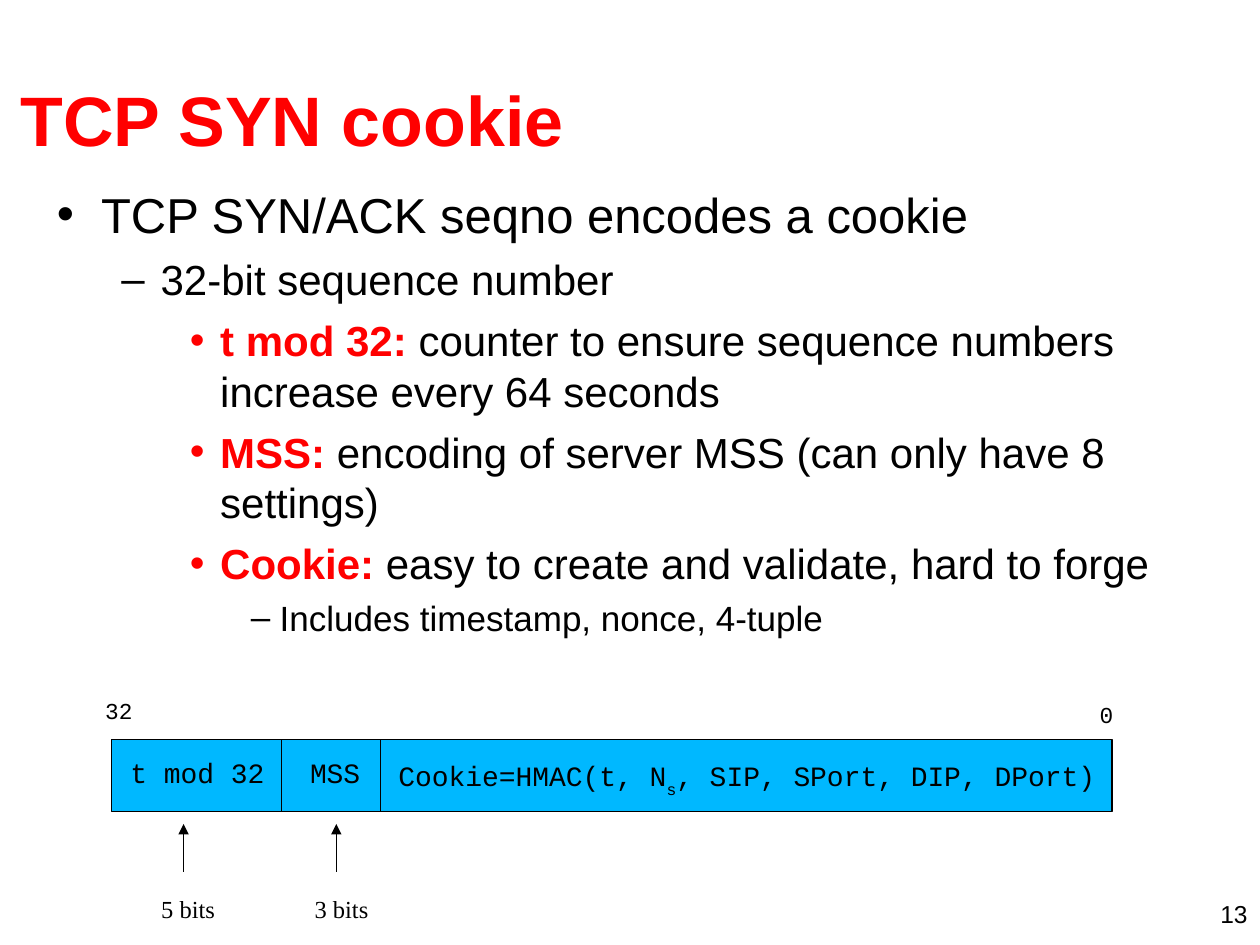
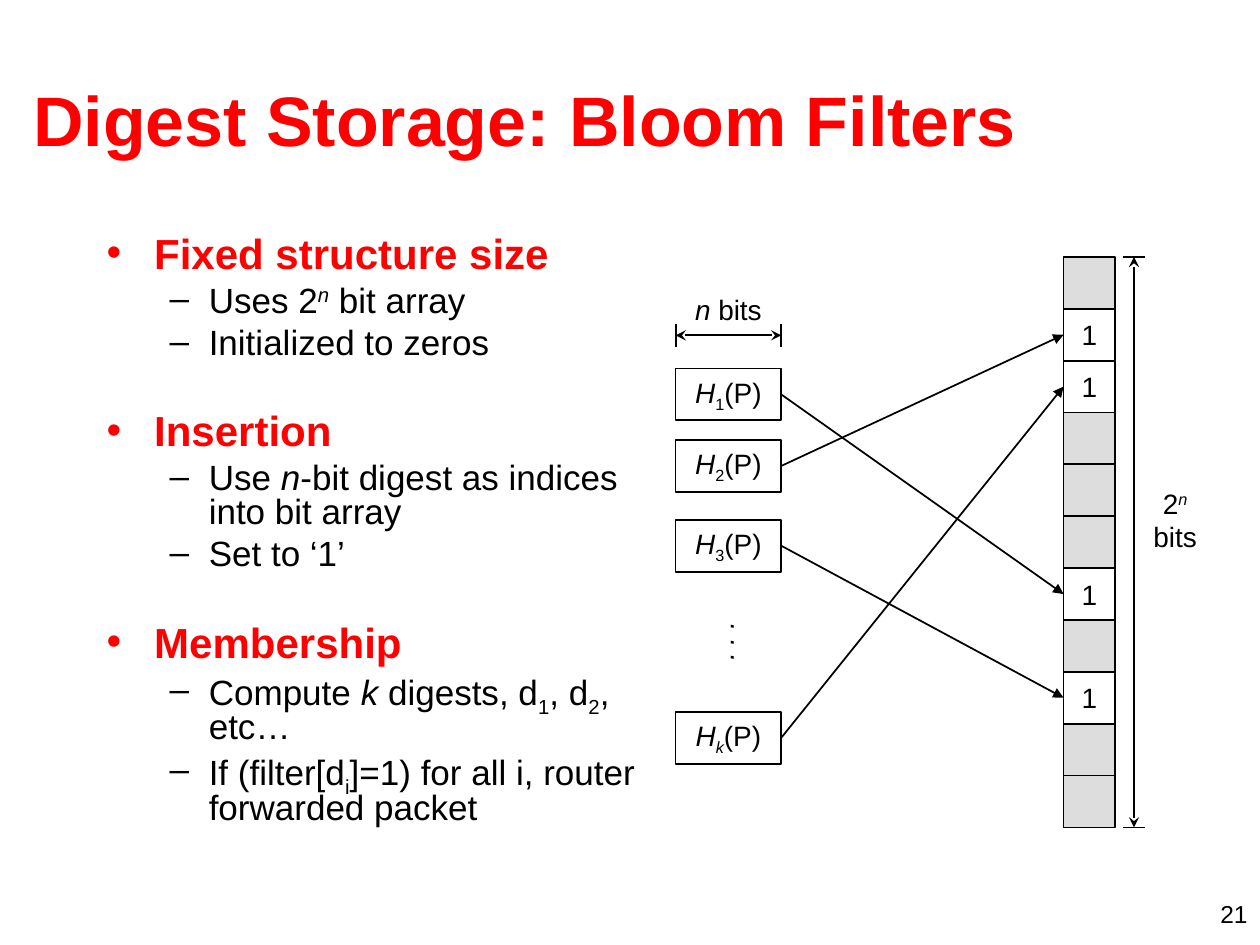
from dataclasses import dataclass
from lxml.etree import SubElement
from pptx import Presentation
from pptx.dml.color import RGBColor as RGB
from pptx.enum.shapes import MSO_CONNECTOR as LINK, MSO_SHAPE as SHAPE
from pptx.enum.text import MSO_ANCHOR as ANCHOR, PP_ALIGN as ALIGN
from pptx.oxml.ns import qn
from pptx.util import Cm, Pt


@dataclass(frozen=True)
class Theme:
    red: str = "FF0000"
    black: str = "000000"
    white: str = "FFFFFF"
    blue: str = "00B8FF"
    grey: str = "DDDDDD"
    sans: str = "Arial"
    mono: str = "Courier New"
    serif: str = "Times New Roman"
    title: int = 40
    label: int = 16
    small: int = 14
    tiny: int = 13


T = Theme()
INSET = (0.25, 0.13)

# Text is a list of (words, marks): r = bold red, i = italic, _ = below, ^ = above
COOKIE = [
    (0, [("TCP SYN/ACK seqno encodes a cookie", "")]),
    (1, [("32-bit sequence number", "")]),
    (2, [("t mod 32:", "r"),
         (" counter to ensure sequence numbers increase every 64 seconds", "")]),
    (2, [("MSS:", "r"),
         (" encoding of server MSS (can only have 8 settings)", "")]),
    (2, [("Cookie:", "r"),
         (" easy to create and validate, hard to forge", "")]),
    (3, [("Includes timestamp, nonce, 4-tuple", "")]),
]
BLOOM = [
    (0, [("Fixed structure size", "r")]),
    (1, [("Uses 2", ""), ("n", "i^"), (" bit array", "")]),
    (1, [("Initialized to zeros", "")]),
    (0, [("Insertion", "r")]),
    (1, [("Use ", ""), ("n", "i"), ("-bit digest as indices into bit array", "")]),
    (1, [("Set to ‘1’", "")]),
    (0, [("Membership", "r")]),
    (1, [("Compute ", ""), ("k", "i"), (" digests, d", ""), ("1", "_"),
         (", d", ""), ("2", "_"), (", etc…", "")]),
    (1, [("If (filter[d", ""), ("i", "_"),
         ("]=1) for all i, router forwarded packet", "")]),
]
# Per level: size, indent, hang, space before, bullet
COOKIE_LEVELS = [
    (28, 1.2, 0.89, 7, "•"),
    (24, 2.4, 0.79, 6, "–"),
    (24, 3.6, 0.61, 6, "•"),
    (20, 4.8, 0.58, 5, "–"),
]
BLOOM_LEVELS = [
    (24, 0.96, 0.96, 30, "•"),
    (20, 2.06, 0.79, 5, "–"),
]
# Left, top, width, height, runs, font, size
FIELDS = [
    (2.63, 15.29, 2.72, 0.64, [("t mod 32", "")], T.mono, T.label),
    (6.25, 15.29, 1.02, 0.64, [("MSS", "")], T.mono, T.label),
    (8.03, 15.29, 14.05, 0.76,
     [("Cookie=HMAC(t, N", ""), ("s", "_"), (", SIP, SPort, DIP, DPort)", "")],
     T.mono, T.label),
    (2.12, 14.1, 0.56, 0.53, [("32", "")], T.mono, T.tiny),
    (22.17, 14.18, 0.28, 0.53, [("0", "")], T.mono, T.tiny),
    (3.25, 18.06, 1.09, 0.56, [("5 bits", "")], T.serif, T.small),
    (6.34, 18.06, 1.09, 0.56, [("3 bits", "")], T.serif, T.small),
]
# Hash name, its marks, top of its box, cell it sets
HASHES = [
    ("1", "_", 7.43, 6),
    ("2", "_", 8.87, 1),
    ("3", "_", 10.48, 8),
    ("k", "i_", 14.35, 2),
]


def fill_runs(par, runs, size, font=T.sans, below=-25):
    """Add the marked runs to a paragraph."""
    for words, marks in runs:
        run = par.add_run()
        run.text = words
        face = run.font
        face.name, face.size = font, Pt(size)
        face.bold, face.italic = "r" in marks, "i" in marks
        face.color.rgb = RGB.from_string(T.red if "r" in marks else T.black)
        shift = below if "_" in marks else 30 if "^" in marks else 0
        if shift:
            run._r.get_or_add_rPr().set("baseline", str(shift * 1000))


def set_frame(shape, inset=INSET, wrap=True, anchor=ANCHOR.TOP):
    frame = shape.text_frame
    frame.margin_left = frame.margin_right = Cm(inset[0])
    frame.margin_top = frame.margin_bottom = Cm(inset[1])
    frame.word_wrap, frame.vertical_anchor = wrap, anchor
    return frame


def add_text(slide, box, runs, size, align=ALIGN.LEFT, **frame):
    shape = slide.shapes.add_textbox(*map(Cm, box))
    par = set_frame(shape, **frame).paragraphs[0]
    par.alignment = align
    fill_runs(par, runs, size)
    return shape


def add_list(slide, box, items, levels, inset, pitch):
    frame = set_frame(slide.shapes.add_textbox(*map(Cm, box)), inset)
    for num, (level, runs) in enumerate(items):
        size, indent, hang, gap, mark = levels[level]
        par = frame.add_paragraph() if num else frame.paragraphs[0]
        par.level, par.line_spacing = level, pitch
        par.space_before = Pt(gap if num else 0)
        props = par._p.get_or_add_pPr()
        props.set("marL", str(Cm(indent)))
        props.set("indent", str(-Cm(hang)))
        hue = T.red if "r" in runs[0][1] else T.black
        SubElement(SubElement(props, qn("a:buClr")), qn("a:srgbClr")).set("val", hue)
        SubElement(props, qn("a:buFont")).set("typeface", T.sans)
        SubElement(props, qn("a:buChar")).set("char", mark)
        fill_runs(par, runs, size)


def add_box(slide, box, hue, runs=(), width=1, kind=SHAPE.RECTANGLE):
    shape = slide.shapes.add_shape(kind, *map(Cm, box))
    shape.shadow.inherit = False
    shape.fill.solid()
    shape.fill.fore_color.rgb = RGB.from_string(hue)
    shape.line.color.rgb = RGB.from_string(T.black)
    shape.line.width = Pt(width)
    if runs:
        par = set_frame(shape, wrap=False, anchor=ANCHOR.MIDDLE).paragraphs[0]
        par.alignment = ALIGN.CENTER
        fill_runs(par, runs, T.label)
    return shape


def add_field(slide, box, runs, font, size):
    """Place a label in a bare shape without fill or line."""
    shape = slide.shapes.add_shape(SHAPE.ROUNDED_RECTANGLE, *map(Cm, box))
    shape.adjustments[0] = 0.01
    shape.shadow.inherit = False
    shape.fill.background()
    shape.line.fill.background()
    par = set_frame(shape, (0, 0), wrap=False).paragraphs[0]
    par.alignment, par.line_spacing = ALIGN.LEFT, 0.94
    fill_runs(par, runs, size, font, below=-33)


def add_line(slide, start, end, width=1, head=None, tail=None):
    link = slide.shapes.add_connector(LINK.STRAIGHT, *map(Cm, (*start, *end)))
    link.line.color.rgb = RGB.from_string(T.black)
    link.line.width = Pt(width)
    for tag, kind in (("a:headEnd", head), ("a:tailEnd", tail)):
        if kind:
            SubElement(link.line._get_or_add_ln(), qn(tag)).set("type", kind)
    SubElement(link._element.spPr, qn("a:effectLst"))


def add_span(slide, start, end, tick=0.23):
    """Draw a two-headed measure line with a tick across each end."""
    add_line(slide, start, end, head="stealth", tail="stealth")
    flat = start[1] == end[1]
    dx, dy = (0, tick) if flat else (tick, 0)
    for x, y in (start, end):
        add_line(slide, (x - dx, y - dy), (x + dx, y + dy))


def add_page(deck, title, number, inset):
    slide = deck.slides.add_slide(deck.slide_layouts[6])
    add_text(slide, (0.42, 0.79, 24.35, 3.18), [(title, "r")], T.title,
             inset=inset, anchor=ANCHOR.MIDDLE)
    add_text(slide, (19.48, 17.99, 5.92, 0.64), [(number, "")], T.small,
             align=ALIGN.RIGHT)
    return slide


def draw_cookie(deck):
    slide = add_page(deck, "TCP SYN cookie", "13", (0, 0))
    add_list(slide, (0.84, 3.72, 22.86, 12.57), COOKIE, COOKIE_LEVELS, (0, 0), 1.0)
    top, high = 14.91, 1.45
    bar = add_box(slide, (2.25, top, 20.17, high), T.blue, width=0.75,
                  kind=SHAPE.ROUNDED_RECTANGLE)
    bar.adjustments[0] = 0
    for x in (5.68, 7.67):
        add_line(slide, (x, top), (x, top + high), 0.75)
    for x in (3.7, 6.78):
        add_line(slide, (x, 17.57), (x, 16.61), 0.75, tail="triangle")
    for *box, runs, font, size in FIELDS:
        add_field(slide, box, runs, font, size)


def draw_bloom(deck):
    slide = add_page(deck, "Digest Storage: Bloom Filters", "21", INSET)
    add_list(slide, (1.9, 4.65, 11.23, 13.33), BLOOM, BLOOM_LEVELS, INSET, 0.8)

    left, top, high, count = 21.44, 5.18, 11.5, 11
    side = high / count
    hits = [cell for *_, cell in HASHES]
    for cell in range(count):
        box = (left, top + cell * side, side, side)
        if cell in hits:
            add_box(slide, box, T.white, [("1", "")])
        else:
            add_box(slide, box, T.grey)

    start, wide = 13.62, 2.13
    end = start + wide
    for name, marks, y, cell in HASHES:
        add_box(slide, (start, y, wide, side), T.white,
                [("H", "i"), (name, marks), ("(P)", "")])
        add_line(slide, (end, y + side / 2), (left, top + (cell + 0.5) * side),
                 tail="triangle")

    mid = dict(align=ALIGN.CENTER, wrap=False, anchor=ANCHOR.MIDDLE)
    dots = add_text(slide, (13.16, 11.99, 2.82, 1.88), [(". . .", "i")],
                    T.label, **mid)
    dots.rotation = 270
    add_text(slide, (start, 5.72, wide, 1.05), [("n", "i"), (" bits", "")],
             T.label, **mid)
    add_span(slide, (start, 6.76), (end, 6.76))
    total = add_text(slide, (23.09, 9.73, 1.2, 1.5), [("2", ""), ("n", "i^")],
                     T.label, inset=(0, 0), **mid)
    par = total.text_frame.add_paragraph()
    par.alignment = ALIGN.CENTER
    fill_runs(par, [("bits", "")], T.label)
    add_span(slide, (22.86, top), (22.86, top + high))


def main():
    deck = Presentation()
    deck.slide_width, deck.slide_height = Cm(25.4), Cm(19.05)
    draw_cookie(deck)
    draw_bloom(deck)
    deck.save("out.pptx")


if __name__ == "__main__":
    main()
